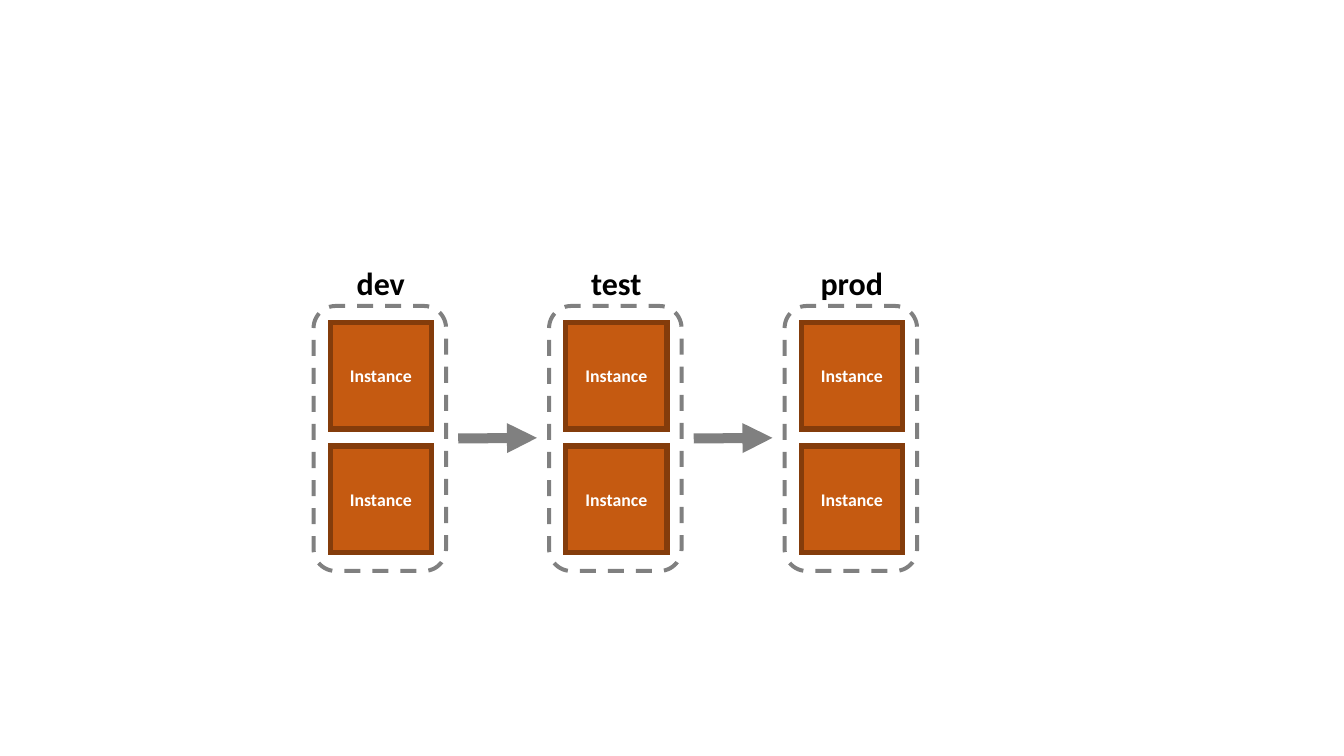
from dataclasses import dataclass

from lxml.etree import SubElement
from pptx import Presentation
from pptx.dml.color import RGBColor
from pptx.enum.dml import MSO_LINE
from pptx.enum.shapes import MSO_CONNECTOR, MSO_SHAPE as SHAPE
from pptx.enum.text import MSO_ANCHOR as ANCHOR, MSO_AUTO_SIZE as FIT, PP_ALIGN as ALIGN
from pptx.oxml.ns import qn
from pptx.shapes.base import BaseShape
from pptx.shapes.group import GroupShape
from pptx.slide import Slide
from pptx.util import Inches, Pt

GRAY, RUST, BROWN = "808080", "C55A11", "843C0B"
WHITE, BLACK = "FFFFFF", "000000"
LEFT, PITCH = 4.9, 3.68
ROWS = (5.04, 6.97)


@dataclass
class Stage:
    name: str
    left: float


def color(code: str) -> RGBColor:
    return RGBColor.from_string(code)


def outline(shape: BaseShape, code: str, width: float) -> None:
    shape.line.color.rgb = color(code)
    shape.line.width = Pt(width)


def write(shape: BaseShape, text: str, size: int, code: str) -> None:
    """Set centred bold text on a shape."""
    frame = shape.text_frame
    frame.word_wrap = True
    frame.text = text
    para = frame.paragraphs[0]
    para.alignment = ALIGN.CENTER
    font = para.runs[0].font
    font.name, font.size, font.bold = "Calibri", Pt(size), True
    font.color.rgb = color(code)


def draw_frame(group: GroupShape, left: float) -> None:
    frame = group.shapes.add_shape(
        SHAPE.ROUNDED_RECTANGLE, Inches(left), Inches(4.78), Inches(2.07), Inches(4.14))
    frame.shadow.inherit = False
    frame.fill.background()
    outline(frame, GRAY, 4.5)
    frame.line.dash_style = MSO_LINE.DASH


def draw_box(group: GroupShape, left: float, top: float) -> None:
    box = group.shapes.add_shape(
        SHAPE.RECTANGLE, Inches(left), Inches(top), Inches(1.58), Inches(1.66))
    box.shadow.inherit = False
    box.fill.solid()
    box.fill.fore_color.rgb = color(RUST)
    outline(box, BROWN, 6)
    SubElement(box.line._get_or_add_ln(), qn("a:miter"), lim="800000")
    write(box, "Instance", 20, WHITE)
    box.text_frame.vertical_anchor = ANCHOR.MIDDLE


def draw_stage(slide: Slide, stage: Stage) -> None:
    group = slide.shapes.add_group_shape()
    draw_frame(group, stage.left)
    for top in ROWS:
        draw_box(group, stage.left + 0.26, top)
    label = group.shapes.add_textbox(
        Inches(stage.left + 0.28), Inches(4.07), Inches(1.54), Inches(0.71))
    write(label, stage.name, 36, BLACK)
    label.text_frame.auto_size = FIT.SHAPE_TO_FIT_TEXT


def draw_arrow(slide: Slide, left: float) -> None:
    arrow = slide.shapes.add_connector(
        MSO_CONNECTOR.STRAIGHT, Inches(left), Inches(6.85), Inches(left + 1.23), Inches(6.84))
    outline(arrow, GRAY, 11.25)
    SubElement(arrow.line._get_or_add_ln(), qn("a:tailEnd"), type="triangle")
    SubElement(arrow._element.spPr, qn("a:effectLst"))


def main() -> None:
    deck = Presentation()
    deck.slide_width, deck.slide_height = Inches(21), Inches(11.81)
    slide = deck.slides.add_slide(deck.slide_layouts[6])
    stages = [Stage(name, LEFT + i * PITCH) for i, name in enumerate(("dev", "test", "prod"))]
    for stage in stages:
        draw_stage(slide, stage)
    for stage in stages[:-1]:
        draw_arrow(slide, stage.left + 2.26)
    deck.save("out.pptx")


if __name__ == "__main__":
    main()
